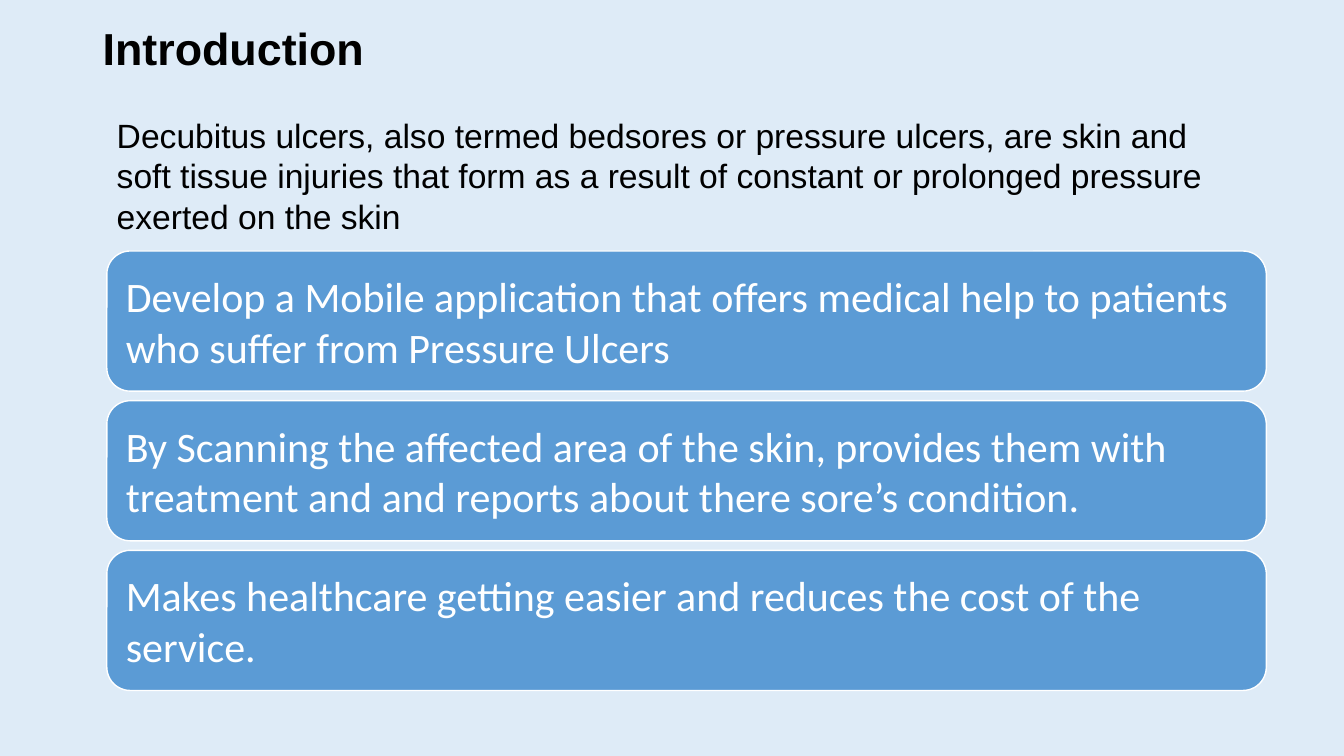
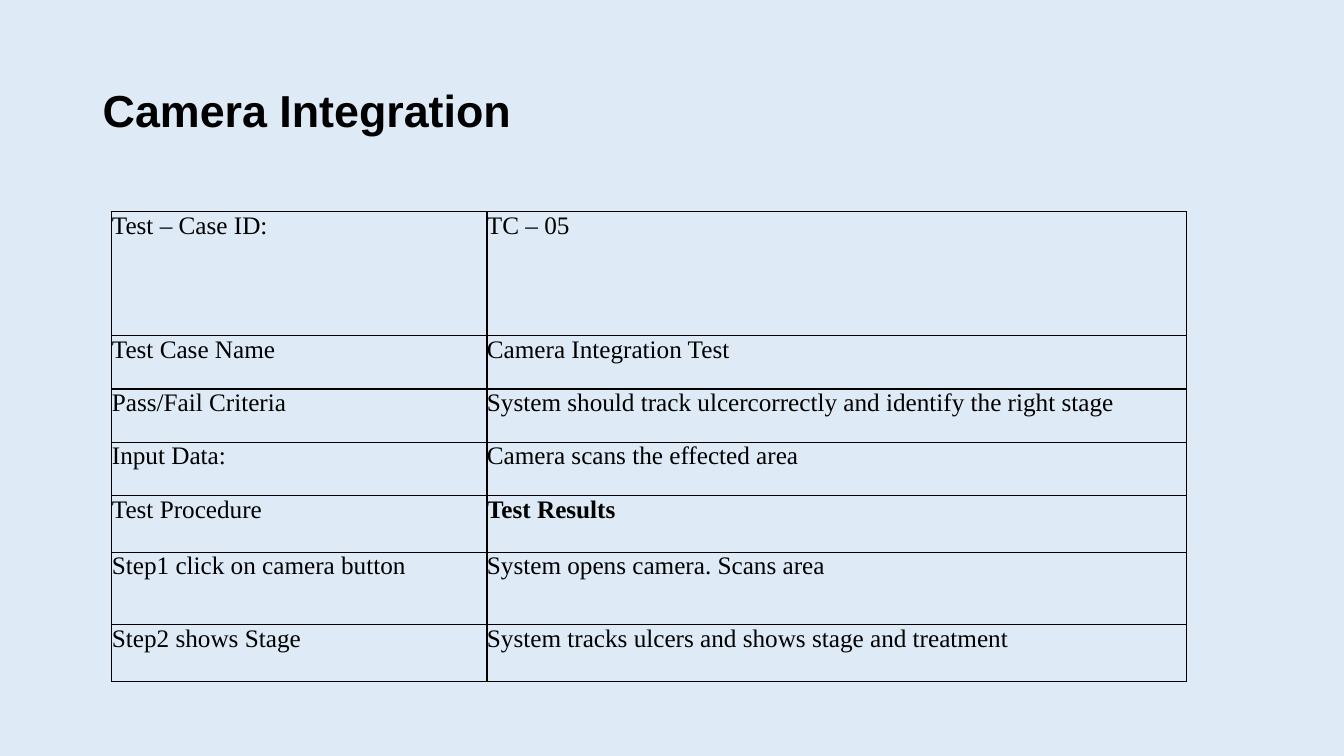
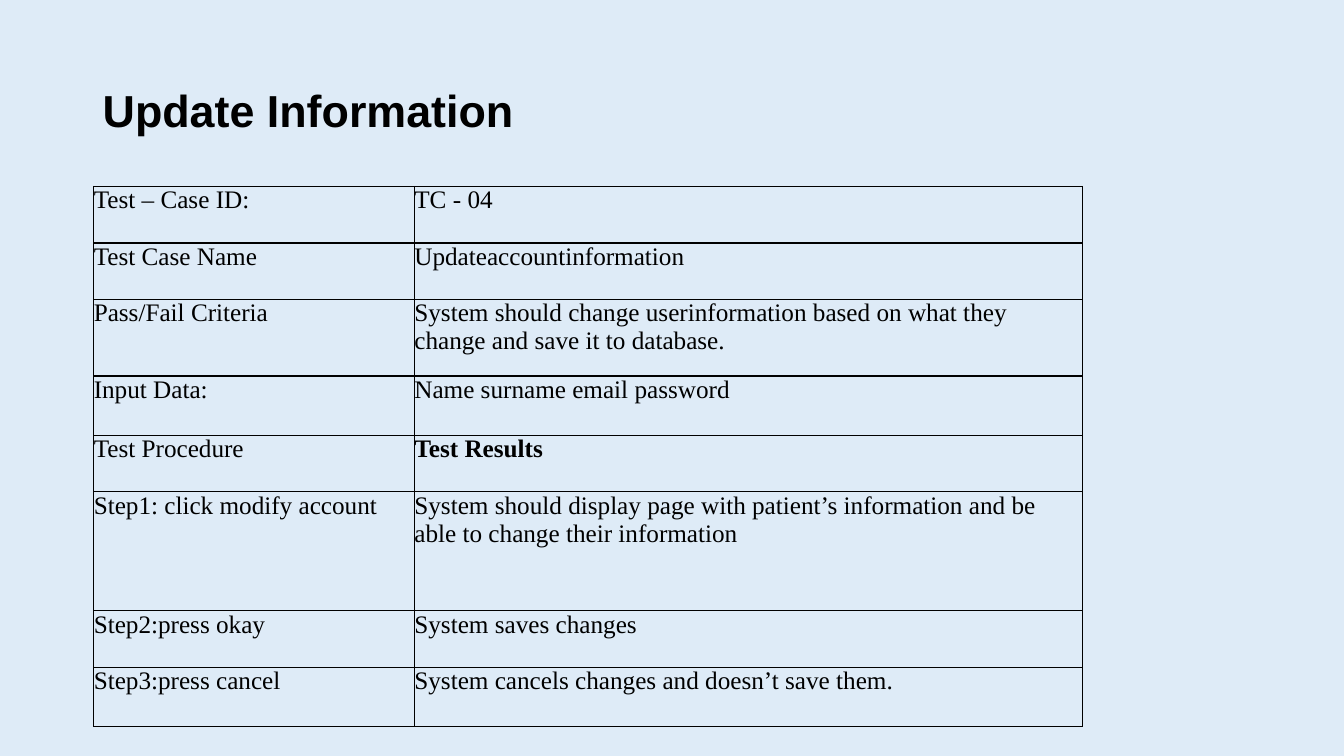
from lxml.etree import SubElement
from pptx import Presentation
from pptx.dml.color import RGBColor
from pptx.enum.shapes import MSO_SHAPE
from pptx.enum.text import MSO_ANCHOR, PP_ALIGN
from pptx.oxml.ns import qn
from pptx.util import Inches, Pt

PALE_BLUE = RGBColor(0xDE, 0xEB, 0xF7)
BLUE = RGBColor(0x5B, 0x9B, 0xD5)
WHITE = RGBColor(0xFF, 0xFF, 0xFF)
BLACK = RGBColor(0x00, 0x00, 0x00)

BOLD_CELL = "Test Results"
CARD_HEIGHT, CARD_PITCH = 1.39, 1.485

INTRODUCTION = (
    "Decubitus ulcers, also termed bedsores or pressure ulcers, are skin and soft "
    "tissue injuries that form as a result of constant or prolonged pressure exerted "
    "on the skin"
)
GOALS = [
    "Develop a Mobile application that offers medical help to patients who suffer "
    "from Pressure Ulcers",
    "By Scanning the affected area of the skin, provides them with treatment and and "
    "reports about there sore’s condition.",
    "Makes healthcare getting easier and reduces the cost of the service.",
]
# Title, table left and top, column widths, then (row height, label, value) per row
TEST_CASES = [
    ("Camera Integration", 1.11, 2.1, (3.72, 6.94), [
        (1.23, "Test – Case ID:", "TC – 05"),
        (0.53, "Test Case Name", "Camera Integration Test"),
        (0.53, "Pass/Fail Criteria",
         "System should track ulcercorrectly and identify the right stage"),
        (0.53, "Input Data:", "Camera scans the effected area"),
        (0.56, "Test Procedure", BOLD_CELL),
        (0.72, "Step1 click on camera button", "System opens camera. Scans area"),
        (0.56, "Step2 shows Stage", "System tracks ulcers and shows stage and treatment"),
    ]),
    ("Update Information", 0.93, 1.85, (3.18, 6.63), [
        (0.56, "Test – Case ID:", "TC - 04"),
        (0.56, "Test Case Name", "Updateaccountinformation"),
        (0.76, "Pass/Fail Criteria",
         "System should change userinformation based on what they change and save it "
         "to database."),
        (0.59, "Input Data:", "Name surname email password"),
        (0.56, "Test Procedure", BOLD_CELL),
        (1.18, "Step1: click modify account",
         "System should display page with patient’s information and be able to change "
         "their information"),
        (0.56, "Step2:press okay", "System saves changes"),
        (0.59, "Step3:press cancel", "System cancels changes and doesn’t save them."),
    ]),
]


def write(frame, text, font, size, color, bold=False):
    """Fill a text frame with one left-aligned, wrapped paragraph."""
    frame.word_wrap = True
    frame.text = text
    paragraph = frame.paragraphs[0]
    paragraph.alignment = PP_ALIGN.LEFT
    style = paragraph.runs[0].font
    style.name, style.size, style.bold = font, Pt(size), bold
    style.color.rgb = color


def add_titled_slide(title, top):
    slide = prs.slides.add_slide(prs.slide_layouts[6])
    heading = slide.shapes.add_textbox(Inches(0.92), Inches(top), Inches(11.5), Inches(1.45))
    write(heading.text_frame, title, "Arial", 32, BLACK, bold=True)
    heading.text_frame.vertical_anchor = MSO_ANCHOR.MIDDLE
    heading.text_frame.paragraphs[0].line_spacing = 0.9
    return slide


prs = Presentation()
prs.slide_width, prs.slide_height = Inches(13.33), Inches(7.5)
background = prs.slide_master.background.fill
background.solid()
background.fore_color.rgb = PALE_BLUE

# Introduction
slide = add_titled_slide("Introduction", -0.22)
for i, goal in enumerate(GOALS):
    card = slide.shapes.add_shape(
        MSO_SHAPE.ROUNDED_RECTANGLE,
        Inches(1.06), Inches(2.49 + i * CARD_PITCH), Inches(11.5), Inches(CARD_HEIGHT))
    card.shadow.inherit = False
    card.fill.solid()
    card.fill.fore_color.rgb = BLUE
    card.line.color.rgb = WHITE
    card.line.width = Pt(1)
    frame = card.text_frame
    write(frame, goal, "Calibri", 30, WHITE)
    frame.vertical_anchor = MSO_ANCHOR.MIDDLE
    frame.margin_left = frame.margin_right = Inches(0.12)
    frame.margin_top = frame.margin_bottom = Inches(0.12)

definition = slide.shapes.add_textbox(Inches(1.06), Inches(1.09), Inches(11.27), Inches(1.23))
write(definition.text_frame, INTRODUCTION, "Arial", 24, BLACK)

# Test cases
for title, left, top, widths, rows in TEST_CASES:
    slide = add_titled_slide(title, 0.4)
    height = sum(row[0] for row in rows)
    table = slide.shapes.add_table(
        len(rows), len(widths),
        Inches(left), Inches(top), Inches(sum(widths)), Inches(height)).table
    table.first_row = table.horz_banding = False
    for column, width in zip(table.columns, widths):
        column.width = Inches(width)
    for r, (row_height, *texts) in enumerate(rows):
        table.rows[r].height = Inches(row_height)
        for c, text in enumerate(texts):
            cell = table.cell(r, c)
            write(cell.text_frame, text, "Times New Roman", 18, BLACK, text == BOLD_CELL)
            cell.margin_left = cell.margin_right = 0
            cell.margin_top = cell.margin_bottom = 0
            properties = cell._tc.get_or_add_tcPr()
            for side in ("lnL", "lnR", "lnT", "lnB"):
                border = SubElement(properties, qn(f"a:{side}"), w=str(Pt(1)))
                SubElement(SubElement(border, qn("a:solidFill")),
                           qn("a:srgbClr"), val=str(BLACK))
            cell.fill.background()

prs.save("out.pptx")
